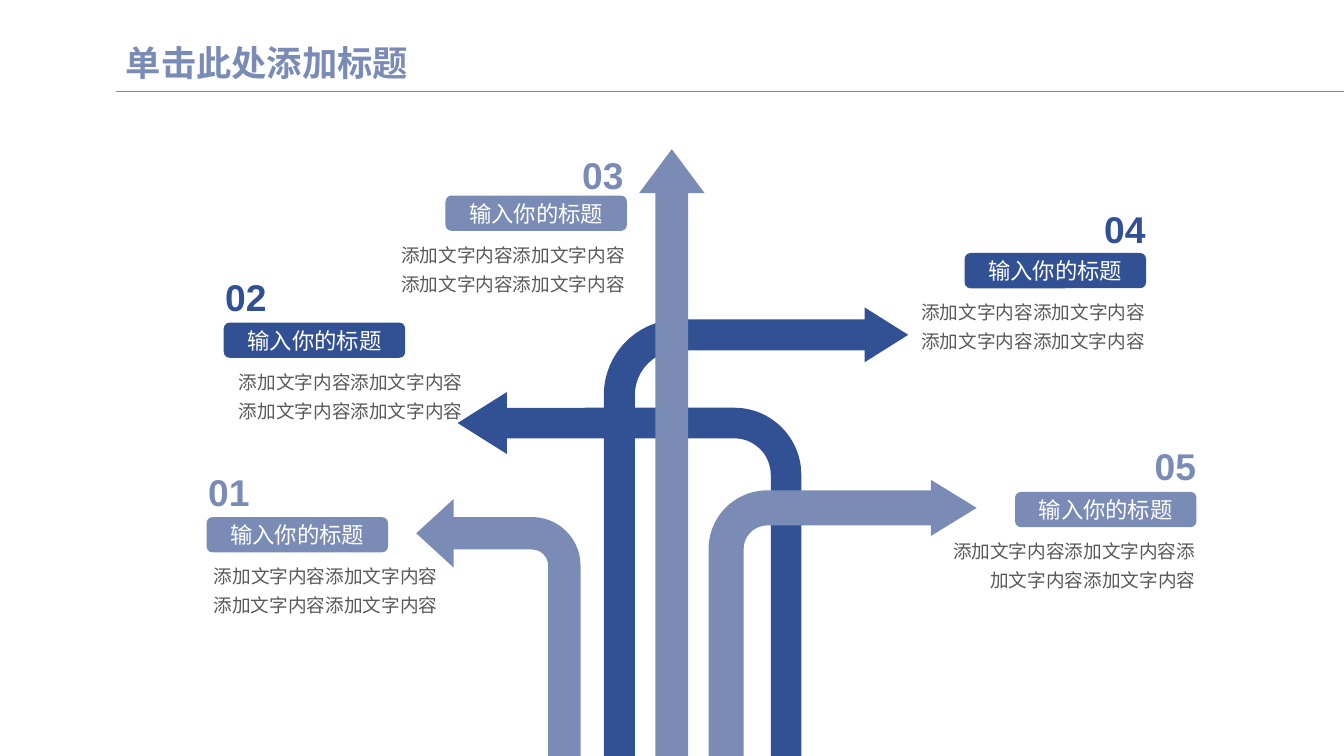
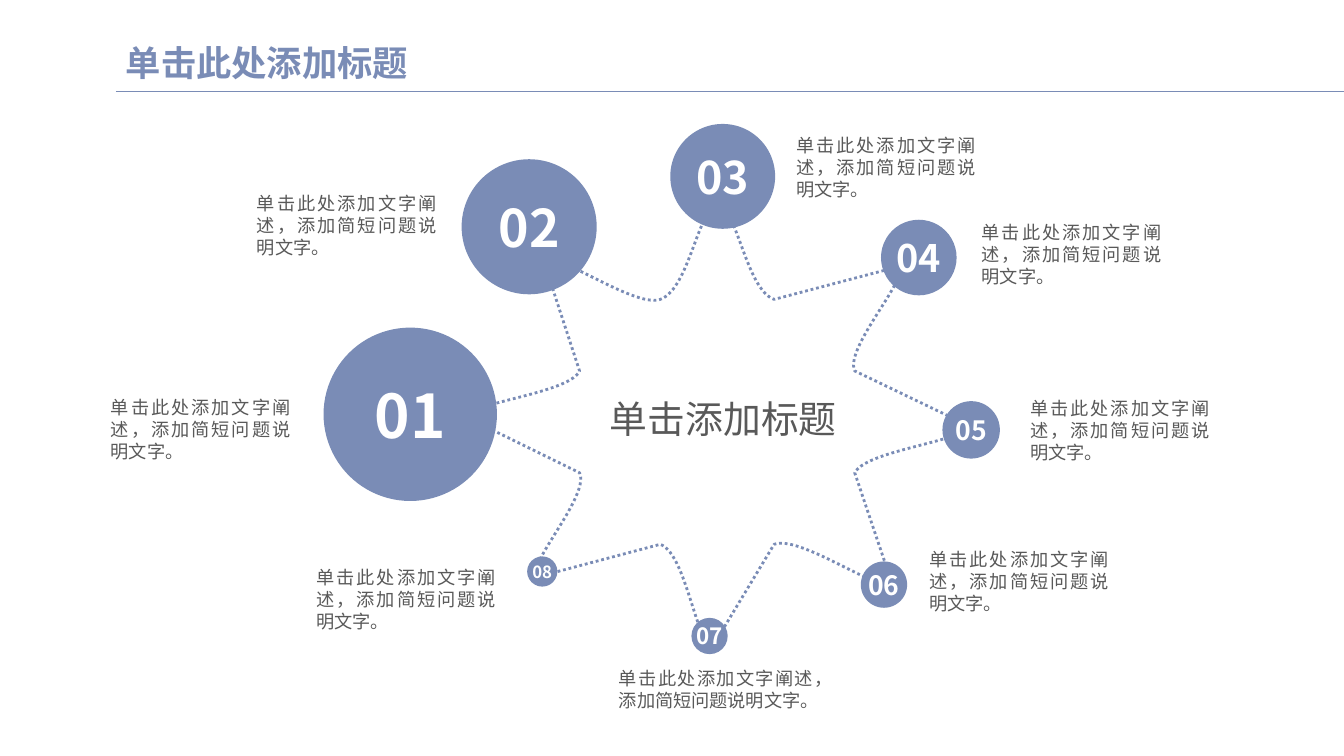
from dataclasses import dataclass
from typing import NamedTuple

from pptx import Presentation
from pptx.dml.color import RGBColor
from pptx.enum.dml import MSO_LINE
from pptx.enum.shapes import MSO_CONNECTOR, MSO_SHAPE
from pptx.enum.text import MSO_ANCHOR, PP_ALIGN
from pptx.oxml.ns import qn
from pptx.oxml.xmlchemy import OxmlElement
from pptx.util import Inches, Pt


@dataclass(frozen=True)
class Theme:
    light: RGBColor = RGBColor(0x7A, 0x8C, 0xB6)
    dark: RGBColor = RGBColor(0x32, 0x50, 0x94)
    text: RGBColor = RGBColor(0x59, 0x59, 0x59)
    white: RGBColor = RGBColor(0xFF, 0xFF, 0xFF)
    title_font: str = "Montserrat"
    latin_font: str = "Arial"
    chinese_font: str = "Noto Sans CJK SC"
    title_size: float = 25.2
    number_size: float = 26.6
    pill_size: float = 16
    step_size: float = 13.3
    center_size: float = 27
    note_size: float = 13


THEME = Theme()
TITLE = "单击此处添加标题"
PILL_TEXT = "输入你的标题"
STEP_TEXT = "添加文字内容" * 4
CENTER_TEXT = "单击添加标题"
NOTE_TEXT = "单击此处添加文字阐述，添加简短问题说明文字。"


class Rect(NamedTuple):
    left: float
    top: float
    width: float
    height: float

    def lengths(self) -> list:
        return [Inches(value) for value in self]


class Style(NamedTuple):
    size: float
    color: RGBColor
    font: str = THEME.chinese_font
    bold: bool = False
    align: PP_ALIGN = PP_ALIGN.CENTER
    spacing: float = 1.0


class Arrow(NamedTuple):
    preset: MSO_SHAPE
    rect: Rect
    adjustments: tuple
    color: RGBColor
    flipped: bool = False


class Step(NamedTuple):
    number: str
    color: RGBColor
    pill_left: float
    pill_top: float
    number_left: float
    number_top: float
    body_left: float
    body_width: float


class Bubble(NamedTuple):
    number: str
    left: float
    top: float
    diameter: float
    size: float
    note_left: float
    note_top: float
    note_width: float = 2.04


ARROWS = [
    Arrow(MSO_SHAPE.BENT_ARROW, Rect(5.99, 3.05, 3.02, 4.45), (0.102, 0.09, 0.143, 0.249), THEME.dark),
    Arrow(MSO_SHAPE.BENT_ARROW, Rect(4.54, 3.89, 3.41, 3.61), (0.089, 0.09, 0.143, 0.195), THEME.dark, True),
    Arrow(MSO_SHAPE.BENT_ARROW, Rect(4.13, 4.95, 1.63, 2.55), (0.197, 0.209, 0.228, 0.295), THEME.light, True),
    Arrow(MSO_SHAPE.BENT_ARROW, Rect(7.03, 4.76, 2.66, 2.74), (0.131, 0.105, 0.171, 0.219), THEME.light),
    Arrow(MSO_SHAPE.UP_ARROW, Rect(6.34, 1.48, 0.65, 6.02), (0.5, 0.671), THEME.light),
]

STEPS = [
    Step("01", THEME.light, 2.05, 5.13, 2.06, 4.65, 2.05, 2.29),
    Step("02", THEME.dark, 2.22, 3.2, 2.23, 2.71, 2.22, 2.37),
    Step("03", THEME.light, 4.42, 1.94, 5.77, 1.5, 3.93, 2.27),
    Step("04", THEME.dark, 9.57, 2.51, 10.95, 2.04, 9.09, 2.27),
    Step("05", THEME.light, 10.07, 4.88, 11.45, 4.39, 9.41, 2.45),
]

BUBBLES = [
    Bubble("01", 3.21, 3.25, 1.72, 43, 0.97, 3.86),
    Bubble("02", 4.58, 1.58, 1.34, 37, 2.42, 1.84),
    Bubble("03", 6.65, 1.23, 1.04, 32, 7.77, 1.26),
    Bubble("04", 8.74, 2.18, 0.75, 27, 9.61, 2.13),
    Bubble("05", 9.35, 3.98, 0.57, 19, 10.09, 3.87),
    Bubble("06", 8.54, 5.57, 0.46, 19, 9.09, 5.37),
    Bubble("07", 6.86, 6.13, 0.36, 16, 6.01, 6.55, 2.38),
    Bubble("08", 5.23, 5.52, 0.3, 12, 3.01, 5.55),
]

# Each segment lists its end point, preceded by two control points if it is curved.
STAR_START = (4.71, 4.18)
STAR_SEGMENTS = [
    [(4.37, 4.02), (5.64, 3.93), (5.75, 3.68)],
    [(5.42, 2.67)],
    [(5.31, 2.33), (6.27, 3.07), (6.55, 2.97)],
    [(6.84, 2.87), (6.93, 2.04), (7.12, 2.04)],
    [(7.31, 2.04), (7.4, 2.87), (7.68, 2.97)],
    [(8.82, 2.67)],
    [(9.2, 2.57), (8.36, 3.43), (8.48, 3.68)],
    [(9.52, 4.18)],
    [(9.87, 4.35), (8.6, 4.44), (8.48, 4.69)],
    [(8.82, 5.7)],
    [(8.93, 6.04), (7.97, 5.29), (7.68, 5.4)],
    [(7.12, 6.33)],
    [(6.93, 6.64), (6.84, 5.5), (6.55, 5.4)],
    [(5.42, 5.7)],
    [(5.04, 5.8), (5.87, 4.94), (5.75, 4.69)],
    [STAR_START],
]


def write(shape, text: str, style: Style, anchor=MSO_ANCHOR.TOP,
          insets: tuple = (0, 0), wrap: bool = True) -> None:
    """Fill a shape with one paragraph; insets are horizontal, vertical."""
    frame = shape.text_frame
    frame.word_wrap = wrap
    frame.vertical_anchor = anchor
    frame.margin_left = frame.margin_right = Inches(insets[0])
    frame.margin_top = frame.margin_bottom = Inches(insets[1])
    para = frame.paragraphs[0]
    para.text = text
    para.alignment = style.align
    para.line_spacing = style.spacing
    font = para.font
    font.size = Pt(style.size)
    font.bold = style.bold
    font.color.rgb = style.color
    font.name = style.font
    east_asian = OxmlElement("a:ea")
    east_asian.set("typeface", THEME.chinese_font)
    para._p.pPr.find(qn("a:defRPr")).append(east_asian)


def add_text(page, rect: Rect, text: str, style: Style, **options) -> None:
    write(page.shapes.add_textbox(*rect.lengths()), text, style, **options)


def add_solid(page, preset: MSO_SHAPE, rect: Rect, color: RGBColor):
    shape = page.shapes.add_shape(preset, *rect.lengths())
    shape.shadow.inherit = False
    shape.fill.solid()
    shape.fill.fore_color.rgb = color
    shape.line.fill.background()
    return shape


def add_page(deck):
    """Add a blank slide with the shared background, title and rule."""
    page = deck.slides.add_slide(deck.slide_layouts[6])
    page.background.fill.solid()
    page.background.fill.fore_color.rgb = THEME.white
    rule = page.shapes.add_connector(
        MSO_CONNECTOR.STRAIGHT, Inches(1.15), Inches(0.91), deck.slide_width, Inches(0.91))
    rule.line.color.rgb = THEME.light
    rule.line.width = Pt(0.5)
    rule._element.spPr.append(OxmlElement("a:effectLst"))
    style = Style(THEME.title_size, THEME.light, THEME.title_font, True, PP_ALIGN.LEFT, 0.9)
    add_text(page, Rect(1.15, 0.39, 11.5, 0.52), TITLE, style,
             anchor=MSO_ANCHOR.MIDDLE, insets=(0.1, 0.05))
    return page


def add_arrow(page, arrow: Arrow) -> None:
    shape = add_solid(page, arrow.preset, arrow.rect, arrow.color)
    for index, value in enumerate(arrow.adjustments):
        shape.adjustments[index] = value
    if arrow.flipped:
        shape._element.spPr.find(qn("a:xfrm")).set("flipH", "1")


def add_step(page, step: Step) -> None:
    pill = add_solid(page, MSO_SHAPE.ROUNDED_RECTANGLE,
                     Rect(step.pill_left, step.pill_top, 1.8, 0.35), step.color)
    write(pill, PILL_TEXT, Style(THEME.pill_size, THEME.white, THEME.latin_font),
          anchor=MSO_ANCHOR.MIDDLE, wrap=False)
    add_text(page, Rect(step.body_left, step.pill_top + 0.41, step.body_width, 0.55), STEP_TEXT,
             Style(THEME.step_size, THEME.text, THEME.latin_font,
                   align=PP_ALIGN.RIGHT, spacing=1.3))
    add_text(page, Rect(step.number_left, step.number_top, 0.42, 0.45), step.number,
             Style(THEME.number_size, step.color, THEME.latin_font, True),
             anchor=MSO_ANCHOR.BOTTOM, wrap=False)


def add_star(page) -> None:
    corners = [[Inches(value) for value in segment[-1]] for segment in STAR_SEGMENTS]
    builder = page.shapes.build_freeform(*[Inches(value) for value in STAR_START])
    builder.add_line_segments(corners, close=True)
    star = builder.convert_to_shape()
    lines = list(star._element.iter(qn("a:lnTo")))
    for line, segment in zip(lines, STAR_SEGMENTS):
        if len(segment) == 3:
            curve = OxmlElement("a:cubicBezTo")
            for x, y in segment:
                point = OxmlElement("a:pt")
                point.set("x", str(Inches(x) - star.left))
                point.set("y", str(Inches(y) - star.top))
                curve.append(point)
            line.getparent().replace(line, curve)
    star.shadow.inherit = False
    star.fill.background()
    star.line.color.rgb = THEME.light
    star.line.width = Pt(2)
    star.line.dash_style = MSO_LINE.ROUND_DOT


def add_bubble(page, bubble: Bubble) -> None:
    circle = add_solid(page, MSO_SHAPE.OVAL,
                       Rect(bubble.left, bubble.top, bubble.diameter, bubble.diameter), THEME.light)
    write(circle, bubble.number, Style(bubble.size, THEME.white, bold=True),
          anchor=MSO_ANCHOR.MIDDLE, wrap=False)
    add_text(page, Rect(bubble.note_left, bubble.note_top, bubble.note_width, 0.81), NOTE_TEXT,
             Style(THEME.note_size, THEME.text, align=PP_ALIGN.JUSTIFY),
             insets=(0.13, 0.07))


def build_arrow_page(deck) -> None:
    page = add_page(deck)
    for arrow in ARROWS:
        add_arrow(page, arrow)
    for step in STEPS:
        add_step(page, step)


def build_star_page(deck) -> None:
    page = add_page(deck)
    add_star(page)
    add_text(page, Rect(5.64, 3.94, 3.07, 0.49), CENTER_TEXT,
             Style(THEME.center_size, THEME.text, spacing=0.8), insets=(0.13, 0.07))
    for bubble in BUBBLES:
        add_bubble(page, bubble)


def main() -> None:
    deck = Presentation()
    deck.slide_width = Inches(40 / 3)
    deck.slide_height = Inches(7.5)
    build_arrow_page(deck)
    build_star_page(deck)
    deck.save("out.pptx")


if __name__ == "__main__":
    main()
